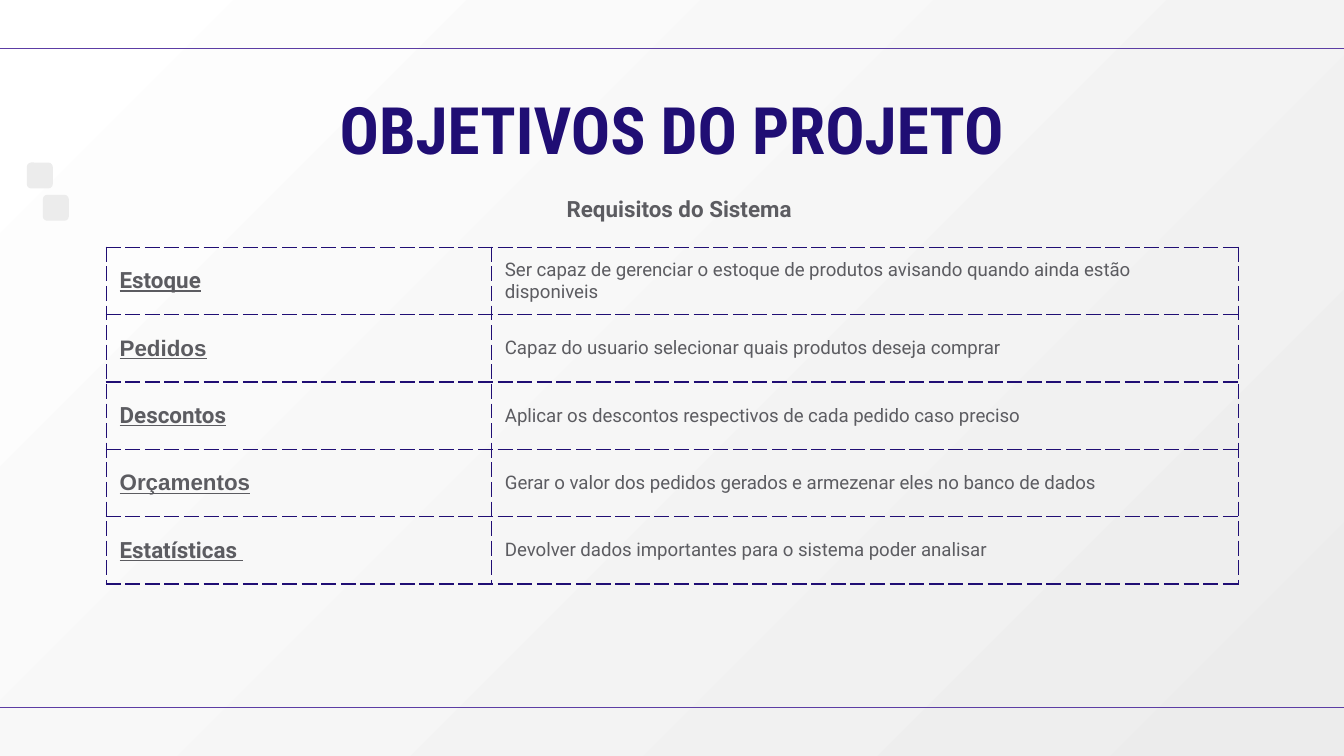
from dataclasses import dataclass

from lxml import etree
from pptx import Presentation
from pptx import util as u
from pptx.dml.color import RGBColor
from pptx.enum import shapes, text
from pptx.oxml.ns import qn

Pt = u.Pt


@dataclass(frozen=True)
class Theme:
    """Colours, fonts and type sizes of the slide."""
    navy: str = "200E74"
    purple: str = "5C3DA4"
    gray: str = "5C5C61"
    pale: str = "ECECEC"
    white: str = "FFFFFF"
    body: str = "Roboto"
    heading: str = "Roboto Condensed"
    title_size: float = 35
    label_size: float = 12
    detail_size: float = 10
    rule: float = 0.75


@dataclass(frozen=True)
class Requirement:
    """One row of the requirements table."""
    area: str
    goal: str
    area_font: str = "Roboto"
    space_after: float = 16


THEME = Theme()
WIDTH, HEIGHT = 720, 405
RULE_TOPS = (25.9, 378.9)
SQUARES = ((23, 104.4), (14.4, 87.1))
SQUARE_SIDE = 13.9
TABLE_LEFT, TABLE_TOP = 56.9, 132.5
COLUMN_WIDTHS = (206.4, 400.4)
ROW_HEIGHT = 36.1
REQUIREMENTS = (
    Requirement("Estoque", "Ser capaz de gerenciar o estoque de produtos avisando "
                "quando ainda estão disponiveis\u00a0"),
    Requirement("Pedidos", "Capaz do usuario selecionar quais produtos deseja "
                "comprar\u00a0", area_font="Arial"),
    Requirement("Descontos", "Aplicar os descontos respectivos de cada pedido caso "
                "preciso\u00a0"),
    Requirement("Orçamentos", "Gerar o valor dos pedidos gerados e armezenar eles no "
                "banco de dados", area_font="Arial"),
    Requirement("Estatísticas\u00a0", "Devolver dados importantes para o sistema poder "
                "analisar", space_after=0),
)


def rgb(color: str) -> RGBColor:
    """Turn a hex string into a colour."""
    return RGBColor.from_string(color)


def write(frame, wording: str, size: float, color: str, font: str,
          bold: bool = False, underline: bool = False, align=None) -> None:
    """Set one paragraph of text and format its run."""
    frame.text = wording
    paragraph = frame.paragraphs[0]
    paragraph.alignment = align
    style = paragraph.runs[0].font
    style.size, style.name = Pt(size), font
    style.bold, style.underline = bold, underline
    style.color.rgb = rgb(color)


def set_insets(frame, left: float, top: float, right: float, bottom: float) -> None:
    """Wrap a text frame, anchor it at the top and set its margins."""
    frame.word_wrap = True
    frame.auto_size = text.MSO_AUTO_SIZE.NONE
    frame.vertical_anchor = text.MSO_ANCHOR.TOP
    frame.margin_left, frame.margin_top = Pt(left), Pt(top)
    frame.margin_right, frame.margin_bottom = Pt(right), Pt(bottom)


def paint_background(slide) -> None:
    """Fill the background with a diagonal gradient."""
    fill = slide.background.fill
    fill.gradient()
    fill.gradient_angle = 315
    for stop, position, color in zip(fill.gradient_stops, (0, 1), (THEME.white, THEME.pale)):
        stop.position = position
        stop.color.rgb = rgb(color)


def add_rule(slide, top: float) -> None:
    """Draw a thin line across the whole slide."""
    rule = slide.shapes.add_connector(
        shapes.MSO_CONNECTOR.STRAIGHT, Pt(0), Pt(top), Pt(WIDTH), Pt(top))
    rule.line.color.rgb = rgb(THEME.purple)
    rule.line.width = Pt(THEME.rule)
    etree.SubElement(rule._element.spPr, qn("a:effectLst"))


def add_square(slide, left: float, top: float) -> None:
    """Draw a pale rounded square."""
    square = slide.shapes.add_shape(
        shapes.MSO_SHAPE.ROUNDED_RECTANGLE, Pt(left), Pt(top), Pt(SQUARE_SIDE), Pt(SQUARE_SIDE))
    square.fill.solid()
    square.fill.fore_color.rgb = rgb(THEME.pale)
    square.line.fill.background()
    square.shadow.inherit = False


def add_dashed_borders(cell) -> None:
    """Give all four sides of a cell a dashed border."""
    properties = cell._tc.get_or_add_tcPr()
    for position, side in enumerate(("lnL", "lnR", "lnT", "lnB")):
        border = etree.Element(qn(f"a:{side}"), w=str(Pt(THEME.rule)))
        fill = etree.SubElement(border, qn("a:solidFill"))
        etree.SubElement(fill, qn("a:srgbClr"), val=THEME.navy)
        etree.SubElement(border, qn("a:prstDash"), val="dash")
        properties.insert(position, border)


def add_requirements(slide) -> None:
    """Build the table of areas and goals."""
    table = slide.shapes.add_table(
        len(REQUIREMENTS), len(COLUMN_WIDTHS), Pt(TABLE_LEFT), Pt(TABLE_TOP),
        Pt(sum(COLUMN_WIDTHS)), Pt(ROW_HEIGHT * len(REQUIREMENTS))).table
    table.first_row = table.horz_banding = False
    for column, width in zip(table.columns, COLUMN_WIDTHS):
        column.width = Pt(width)
    for row, requirement in zip(table.rows, REQUIREMENTS):
        row.height = Pt(ROW_HEIGHT)
        area, goal = row.cells
        write(area.text_frame, requirement.area, THEME.label_size, THEME.gray,
              requirement.area_font, bold=True, underline=True)
        write(goal.text_frame, requirement.goal, THEME.detail_size, THEME.gray, THEME.body)
        goal.text_frame.paragraphs[0].space_after = Pt(requirement.space_after)
        for cell in (area, goal):
            cell.fill.background()
            cell.vertical_anchor = text.MSO_ANCHOR.MIDDLE
            cell.margin_left = cell.margin_right = Pt(7.2)
            cell.margin_top = cell.margin_bottom = Pt(0)
            add_dashed_borders(cell)


def add_headings(slide) -> None:
    """Place the title and the caption above the table."""
    title = slide.shapes.title
    title.left, title.top, title.width, title.height = Pt(56.2), Pt(40.3), Pt(607.7), Pt(42.5)
    set_insets(title.text_frame, 7.2, 7.2, 7.2, 7.2)
    write(title.text_frame, "OBJETIVOS DO PROJETO", THEME.title_size, THEME.navy,
          THEME.heading, bold=True, align=text.PP_ALIGN.CENTER)
    caption = slide.shapes.add_textbox(
        Pt(TABLE_LEFT), Pt(97.2), Pt(sum(COLUMN_WIDTHS)), Pt(28.8))
    set_insets(caption.text_frame, 7.2, 7.2, 0, 7.2)
    write(caption.text_frame, "Requisitos do Sistema", THEME.label_size, THEME.gray,
          THEME.body, bold=True, align=text.PP_ALIGN.CENTER)


def main() -> None:
    """Build and save the slide."""
    deck = Presentation()
    deck.slide_width, deck.slide_height = Pt(WIDTH), Pt(HEIGHT)
    slide = deck.slides.add_slide(deck.slide_layouts.get_by_name("Title Only"))
    paint_background(slide)
    for top in RULE_TOPS:
        add_rule(slide, top)
    for left, top in SQUARES:
        add_square(slide, left, top)
    add_requirements(slide)
    add_headings(slide)
    deck.save("out.pptx")


main()
